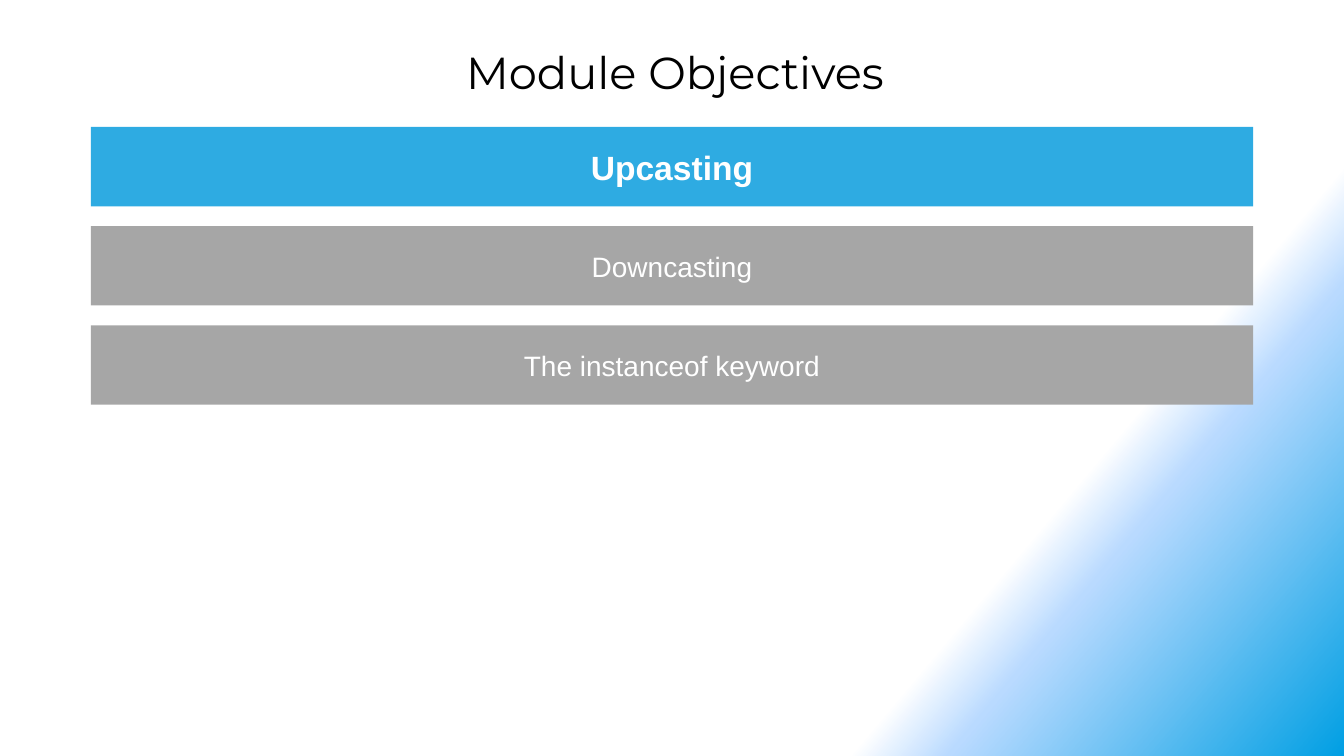
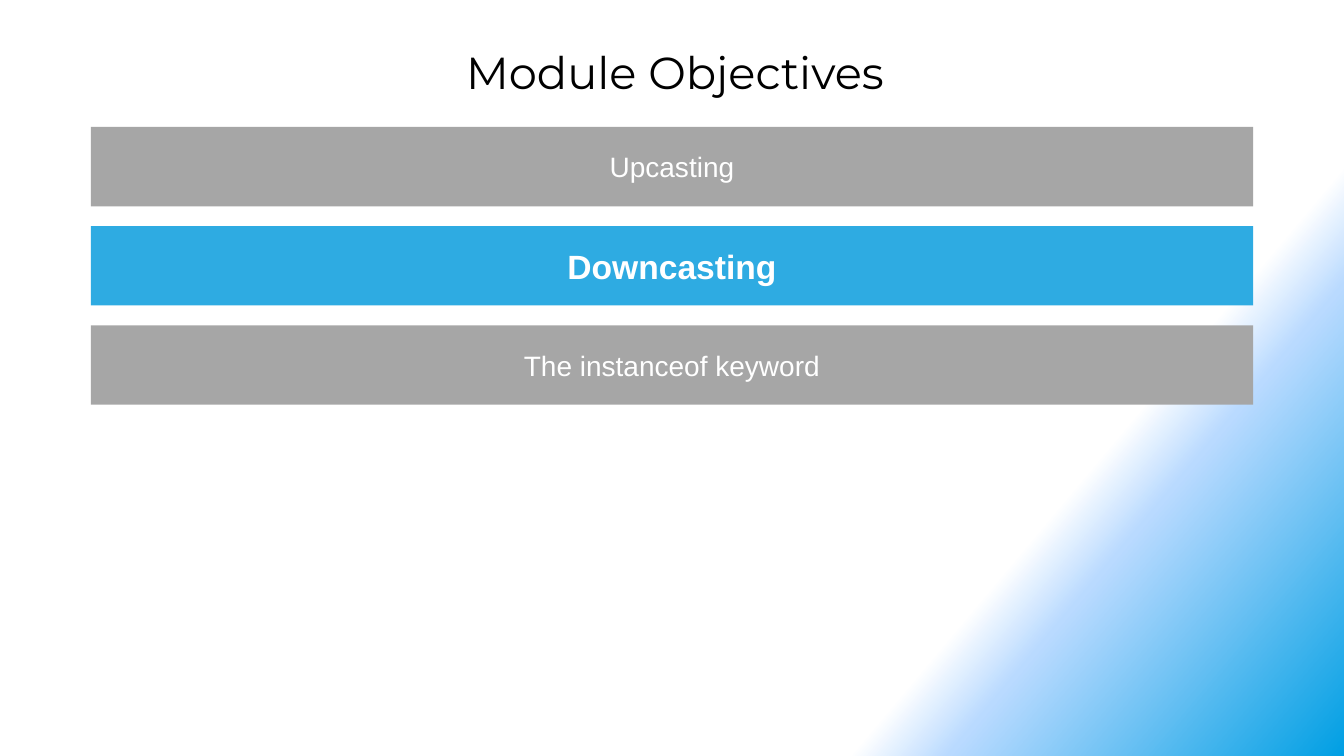
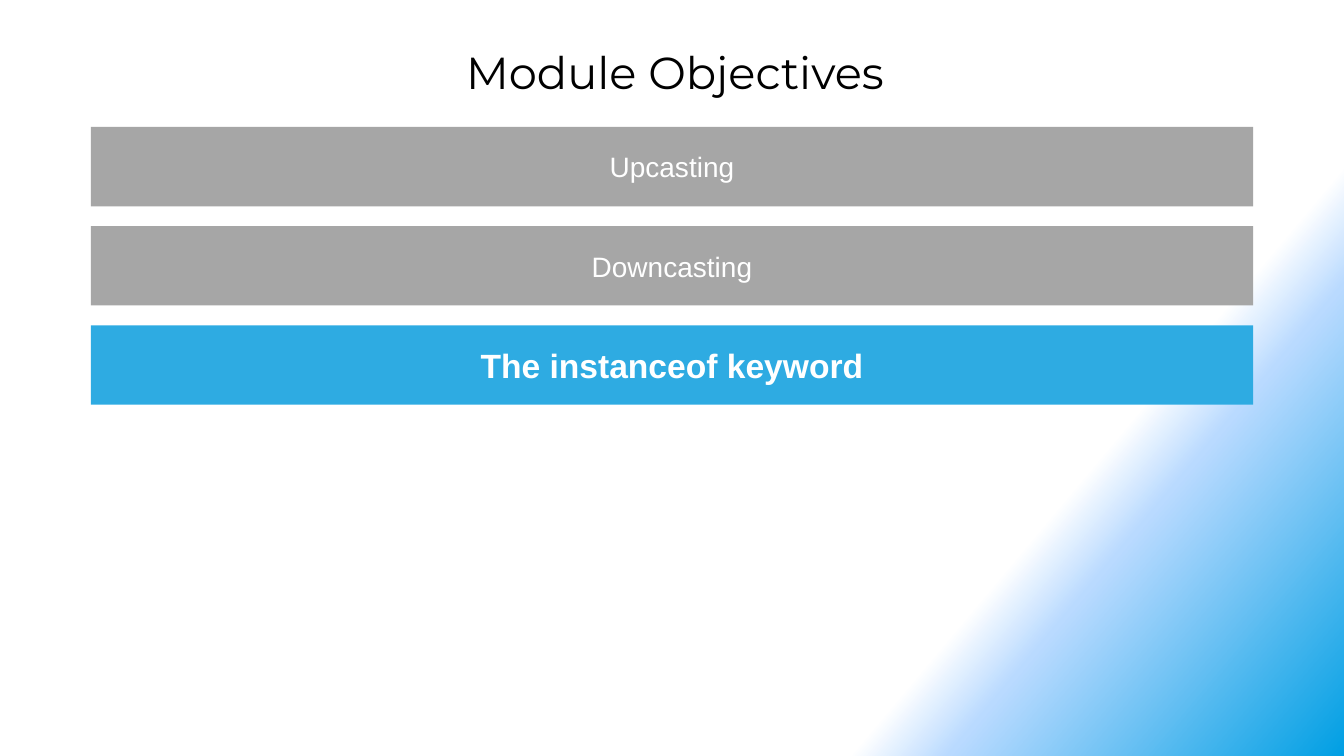
from copy import deepcopy
from dataclasses import dataclass

from lxml.etree import SubElement
from pptx import Presentation
from pptx.dml.color import RGBColor
from pptx.enum.shapes import MSO_SHAPE
from pptx.enum.text import MSO_ANCHOR, MSO_AUTO_SIZE, PP_ALIGN
from pptx.oxml.ns import qn
from pptx.util import Cm, Pt


@dataclass(frozen=True)
class Theme:
    """Colours, fonts and type sizes of the deck."""

    ink: str = "000000"
    white: str = "FFFFFF"
    grey: str = "A6A6A6"
    blue: str = "2EABE2"
    glow: tuple = ((0.75, "FFFFFF"), (0.8, "B9DAFF"), (1, "009FE3"))
    head: str = "Montserrat"
    body: str = "Arial"
    large: int = 32
    mid: int = 24
    small: int = 20


class Deck:
    """Holds the style and the current slide."""

    def __init__(self, theme):
        """Start a wide deck with the shared backdrop."""
        self.theme = theme
        self.deck = Presentation()
        self.deck.slide_width = Cm(33.87)
        self.deck.slide_height = Cm(19.05)
        self.backdrop()

    def backdrop(self):
        """Give the master its corner gradient."""
        master = self.deck.slide_master
        fill = master.background.fill
        fill.gradient()
        fill.gradient_angle = 320
        stops = next(master.element.iter(qn("a:gsLst")))
        stops.append(deepcopy(stops[1]))
        for stop, (place, tint) in zip(fill.gradient_stops, self.theme.glow):
            stop.position = place
            stop.color.rgb = RGBColor.from_string(tint)
        SubElement(stops[1][0], qn("a:alpha"), val="50000")

    def label(self, shape, text, font, size, tint, bold=False):
        """Set one centred line of text in a shape."""
        frame = shape.text_frame
        frame.text = text
        frame.word_wrap = True
        frame.vertical_anchor = MSO_ANCHOR.MIDDLE
        line = frame.paragraphs[0]
        line.alignment = PP_ALIGN.CENTER
        line.font.name = font
        line.font.size = Pt(size)
        line.font.bold = bold
        line.font.color.rgb = RGBColor.from_string(tint)

    def slide(self, title):
        """Add a slide with its title."""
        self.page = self.deck.slides.add_slide(self.deck.slide_layouts[5])
        head = self.page.shapes.title
        head.left, head.top = Cm(1.7), Cm(1)
        head.width, head.height = Cm(30.63), Cm(1.63)
        self.label(head, title, self.theme.head, self.theme.large, self.theme.ink)
        head.text_frame.auto_size = MSO_AUTO_SIZE.SHAPE_TO_FIT_TEXT

    def bar(self, top, text, active):
        """Add one topic bar, bright when active."""
        theme = self.theme
        box = self.page.shapes.add_shape(
            MSO_SHAPE.RECTANGLE, Cm(2.29), Cm(top), Cm(29.29), Cm(2))
        box.shadow.inherit = False
        box.fill.solid()
        box.fill.fore_color.rgb = RGBColor.from_string(
            theme.blue if active else theme.grey)
        box.line.fill.background()
        size = theme.mid if active else theme.small
        self.label(box, text, theme.body, size, theme.white, active)

    def agenda(self, topics, current):
        """Stack the topic bars and mark the current one."""
        for row, topic in enumerate(topics):
            self.bar(3.2 + 2.5 * row, topic, topic == current)

    def save(self):
        """Save the finished deck."""
        self.deck.save("out.pptx")


def main():
    """Build one agenda slide for each topic."""
    deck = Deck(Theme())
    topics = ("Upcasting", "Downcasting", "The instanceof keyword")
    for topic in topics:
        deck.slide("Module Objectives")
        deck.agenda(topics, topic)
    deck.save()


if __name__ == "__main__":
    main()
